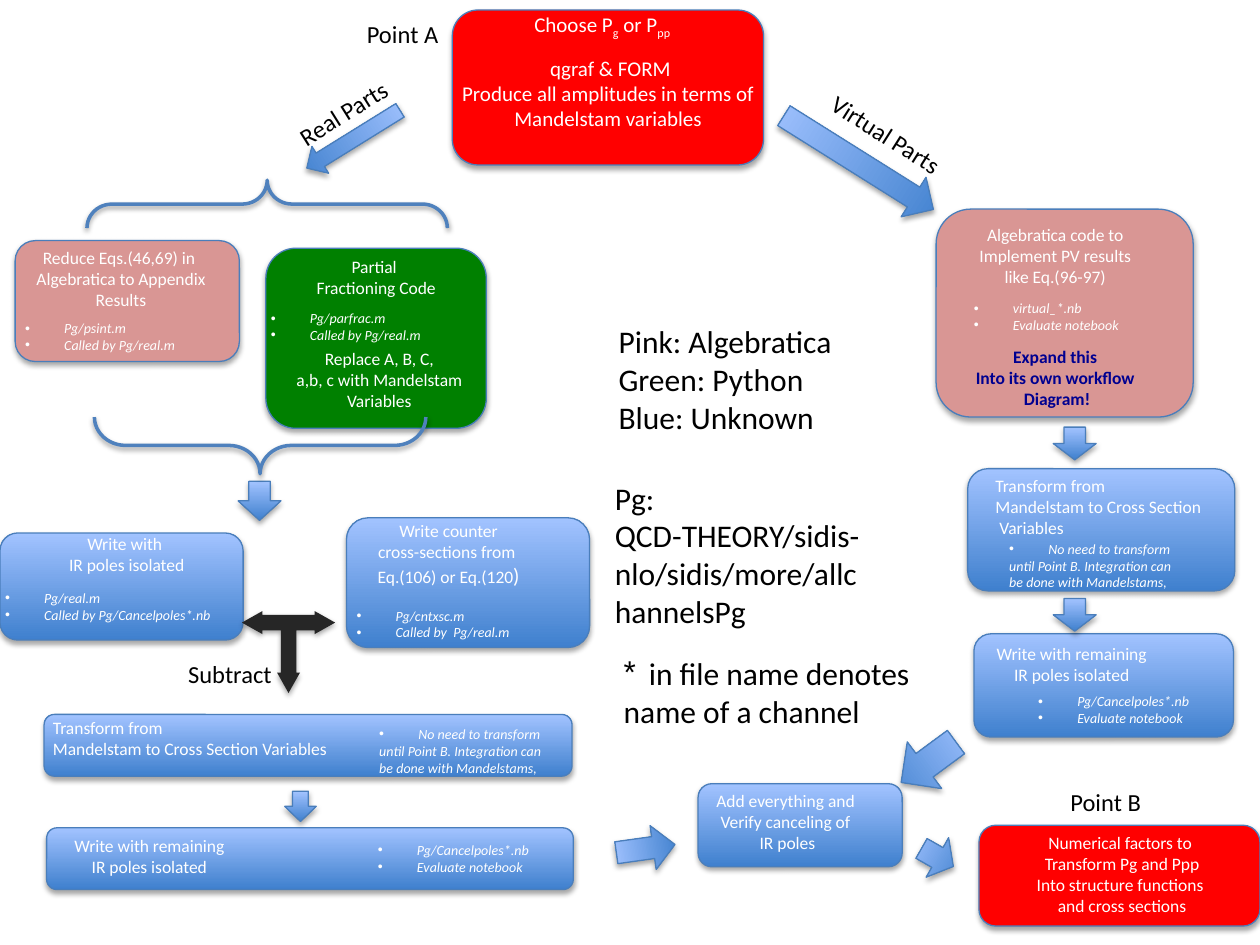
from copy import deepcopy
from dataclasses import dataclass

from lxml import etree
from pptx import Presentation
from pptx.dml.color import RGBColor
from pptx.enum import shapes, text
from pptx.oxml import ns
from pptx.util import Inches, Pt

SHAPE = shapes.MSO_SHAPE
LEFT, CENTER = text.PP_ALIGN.LEFT, text.PP_ALIGN.CENTER


@dataclass(frozen=True)
class Theme:
    font: str = "Calibri"
    white: str = "FFFFFF"
    black: str = "000000"
    navy: str = "000090"
    red: str = "FF0000"
    pink: str = "D99694"
    green: str = "008000"
    charcoal: str = "262626"
    blue: tuple = ("3F80CE", "A2C3FF")
    outline: str = "4A7EBB"
    brace: str = "4F81BD"
    note: int = 8
    step: int = 10
    start: int = 12
    label: int = 14
    legend: int = 18


class Workflow:
    def __init__(self, slide, theme):
        self.slide = slide
        self.theme = theme

    def preset(self, kind, at, fill=None, line=None, width=0.75, rotation=0, adjust=(),
               shadow=(35, 1.8)):
        shape = self.slide.shapes.add_shape(kind, *map(Inches, at))
        shape.rotation = rotation
        for index, value in enumerate(adjust):
            shape.adjustments[index] = value
        if fill is None:
            shape.fill.background()
        elif isinstance(fill, tuple):
            shape.fill.gradient()
            shape.fill.gradient_angle = 90
            for stop, color in zip(shape.fill.gradient_stops, fill):
                stop.color.rgb = RGBColor.from_string(color)
        else:
            shape.fill.solid()
            shape.fill.fore_color.rgb = RGBColor.from_string(fill)
        if line:
            shape.line.color.rgb = RGBColor.from_string(line)
            shape.line.width = Pt(width)
        else:
            shape.line.fill.background()
        self.cast_shadow(shape, *shadow)

    def cast_shadow(self, shape, opacity, distance):
        shape.shadow.inherit = False
        effects = shape.element.spPr.find(ns.qn("a:effectLst"))
        outer = etree.SubElement(effects, ns.qn("a:outerShdw"), blurRad=str(Pt(3)),
                                 dist=str(Pt(distance)), dir="5400000", rotWithShape="0")
        color = etree.SubElement(outer, ns.qn("a:srgbClr"), val=self.theme.black)
        etree.SubElement(color, ns.qn("a:alpha"), val=str(opacity * 1000))

    def card(self, at, fill):
        self.preset(SHAPE.ROUNDED_RECTANGLE, at, fill, self.theme.outline)

    def arrow(self, at, rotation=0):
        self.preset(SHAPE.DOWN_ARROW, at, self.theme.blue, self.theme.outline,
                    rotation=rotation)

    def brace(self, at, rotation, curve):
        self.preset(SHAPE.LEFT_BRACE, at, line=self.theme.brace, width=2, rotation=rotation,
                    adjust=(curve, 0.5), shadow=(38, 1.6))

    def format_run(self, run, size, color, bold=False, italic=False):
        run.font.name = self.theme.font
        run.font.size = Pt(size)
        run.font.bold = bold
        run.font.italic = italic
        run.font.color.rgb = RGBColor.from_string(color)

    def put_text(self, words, at, size=None, color=None, bold=False, italic=False,
                 align=CENTER, wrap=False, rotation=0, bulleted=0, bullet="•", indent=0.31,
                 box=None):
        size, color = size or self.theme.step, color or self.theme.white
        box = box or self.slide.shapes.add_textbox(0, 0, 0, 0)
        box.left, box.top, box.width, box.height = map(Inches, at)
        box.rotation = rotation
        frame = box.text_frame
        frame.word_wrap = wrap
        frame.auto_size = text.MSO_AUTO_SIZE.SHAPE_TO_FIT_TEXT
        frame.vertical_anchor = text.MSO_ANCHOR.TOP
        frame.margin_left = frame.margin_right = Inches(0.05)
        frame.margin_top = frame.margin_bottom = Inches(0.05)
        for index, line in enumerate(words.split("\n")):
            paragraph = frame.add_paragraph() if index else frame.paragraphs[0]
            paragraph.alignment = align
            if index < bulleted:
                self.mark(paragraph, bullet, indent)
            for order, piece in enumerate(line.split("~")):
                for row, part in enumerate(piece.split("\v")):
                    if row:
                        paragraph.add_line_break()
                    if not part:
                        continue
                    run = paragraph.add_run()
                    run.text = part
                    self.format_run(run, size, color, bold, italic)
                    if order % 2:
                        run.font._element.set("baseline", "-25000")
            for line_break in paragraph._p.findall(ns.qn("a:br")):
                line_break.append(deepcopy(run.font._element))
        return box

    def mark(self, paragraph, bullet, indent):
        properties = paragraph._p.get_or_add_pPr()
        properties.set("marL", str(Inches(indent)))
        properties.set("indent", str(-Inches(indent)))
        etree.SubElement(properties, ns.qn("a:buFont"), typeface="Arial")
        etree.SubElement(properties, ns.qn("a:buChar"), char=bullet)

    def heading(self, words, at, **style):
        title = self.slide.shapes.title
        self.slide.shapes.element.append(title.element)
        self.put_text(words, at, box=title, **style)

    def notes(self, words, at, bulleted=2, wrap=False):
        self.put_text(words, at, size=self.theme.note, italic=True, align=LEFT,
                      bulleted=bulleted, wrap=wrap)

    def label(self, words, at, rotation=0, wrap=False):
        self.put_text(words, at, size=self.theme.label, color=self.theme.black,
                      rotation=rotation, wrap=wrap)

    def legend(self, words, at, **style):
        self.put_text(words, at, size=self.theme.legend, color=self.theme.black, align=LEFT,
                      **style)


def main():
    deck = Presentation()
    deck.slide_width, deck.slide_height = Inches(10), Inches(7.5)
    theme = Theme()
    flow = Workflow(deck.slides.add_slide(deck.slide_layouts[5]), theme)

    for at, fill in (
        ((3.59, 0.08, 2.47, 1.23), theme.red),
        ((7.68, 3.72, 2.12, 0.97), theme.blue),
        ((7.43, 1.66, 2.04, 1.65), theme.pink),
        ((0.37, 6.57, 4.18, 0.49), theme.blue),
        ((0.35, 5.67, 4.19, 0.49), theme.blue),
        ((2.75, 4.11, 1.93, 1.03), theme.blue),
        ((0, 4.23, 1.93, 0.85), theme.blue),
        ((2.11, 1.97, 1.75, 1.43), theme.green),
        ((0.12, 1.91, 1.78, 0.96), theme.pink),
        ((7.73, 5.03, 2.06, 0.82), theme.blue),
        ((5.54, 6.22, 1.62, 0.66), theme.blue),
        ((7.77, 6.55, 2.23, 0.8), theme.red),
    ):
        flow.card(at, fill)

    for at, rotation in (
        ((2.68, 0.67, 0.25, 0.87), 58.2),
        ((1.89, 3.82, 0.34, 0.31), 0),
        ((2.26, 6.28, 0.25, 0.24), 0),
        ((6.63, 0.59, 0.37, 1.4), 302.1),
        ((8.36, 3.39, 0.34, 0.26), 0),
        ((8.36, 4.75, 0.34, 0.26), 0),
        ((7.26, 6.66, 0.36, 0.29), 299.6),
        ((4.95, 6.5, 0.35, 0.47), 262),
        ((7.14, 5.78, 0.46, 0.54), 53.6),
    ):
        flow.arrow(at, rotation)
    flow.preset(SHAPE.LEFT_RIGHT_UP_ARROW, (1.92, 4.85, 0.74, 0.65), theme.charcoal,
                rotation=180, adjust=(0.19, 0.14, 0.25))
    flow.brace((1.93, 0.19, 0.38, 2.86), 90, 0.52)
    flow.brace((1.84, 2.22, 0.45, 2.63), 270, 0.55)

    flow.heading("Choose P~g~ or P~pp~", (4.19, 0.04, 1.31, 0.33), size=theme.start, align=LEFT)
    flow.put_text("qgraf & FORM\vProduce all amplitudes in terms of \nMandelstam variables ",
                  (3.45, 0.39, 2.79, 0.68), size=theme.start)

    for words, at in (
        ("Partial \vFractioning Code", (2.4, 1.98, 1.17, 0.41)),
        ("Reduce Eqs.(46,69) in \vAlgebratica to Appendix\vResults", (0.11, 1.91, 1.7, 0.56)),
        ("Algebratica code to \nImplement PV results \nlike Eq.(96-97) ",
         (7.63, 1.73, 1.52, 0.56)),
        ("Write with \vIR poles isolated", (0.44, 4.18, 1.13, 0.41)),
        ("Replace A, B, C,\va,b, c with Mandelstam\vVariables", (2.22, 2.71, 1.58, 0.56)),
        ("Add everything and \nVerify canceling of \vIR poles", (5.55, 6.22, 1.4, 0.56)),
        ("Numerical factors to \nTransform Pg and Ppp\nInto structure functions \v"
         "and cross sections", (8.09, 6.55, 1.63, 0.71)),
    ):
        flow.put_text(words, at)
    counter = flow.put_text("Write counter\vcross-sections from \vEq.(106) or Eq.(120",
                            (2.87, 4.08, 1.38, 0.6))
    closing = counter.text_frame.paragraphs[0].add_run()
    closing.text = ")"
    flow.format_run(closing, theme.start, theme.white)
    flow.put_text("Expand this \nInto its own workflow \vDiagram!", (7.61, 2.7, 1.56, 0.56),
                  color=theme.navy, bold=True)

    transform = "Transform from \vMandelstam to Cross Section"
    flow.put_text(transform + " Variables", (0.37, 5.64, 2.53, 0.41), align=LEFT, wrap=True)
    flow.put_text(transform + "\n Variables", (7.85, 3.72, 1.95, 0.56), align=LEFT, wrap=True)
    for left, top in ((2.96, 5.71), (7.96, 4.24)):
        flow.notes("No need to transform\nuntil Point B. Integration can\n"
                   "be done with Mandelstams,", (left, top, 1.65, 0.52), bulleted=1)
    for left, top in ((0.45, 6.58), (7.77, 5.05)):
        flow.put_text("Write with remaining\nIR poles isolated", (left, top, 1.47, 0.41))
    for left, top in ((2.95, 6.63), (8.19, 5.45)):
        flow.notes("Pg/Cancelpoles*.nb\nEvaluate notebook", (left, top, 1.43, 0.38))
    flow.notes("Pg/psint.m\nCalled by Pg/real.m", (0.15, 2.49, 1.44, 0.38))
    flow.notes("Pg/parfrac.m\nCalled by Pg/real.m", (2.1, 2.41, 1.44, 0.38))
    flow.notes("Pg/real.m\nCalled by Pg/Cancelpoles*.nb", (-0.01, 4.63, 1.94, 0.38), wrap=True)
    flow.notes("Pg/cntxsc.m\nCalled by  Pg/real.m", (2.78, 4.77, 1.47, 0.38))
    flow.notes("virtual_*.nb\nEvaluate notebook", (7.68, 2.33, 1.36, 0.38))

    flow.label("Real Parts", (2.23, 0.73, 0.98, 0.32), rotation=327.8)
    flow.label("Virtual Parts", (6.44, 0.9, 1.19, 0.32), rotation=32.3)
    flow.label("Subtract", (1.4, 5.18, 0.85, 0.32))
    flow.label("Point A", (2.62, 0.1, 1.15, 0.32), wrap=True)
    flow.label("Point B", (8.2, 6.2, 1.15, 0.32), wrap=True)

    flow.legend("Pink: Algebratica\nGreen: Python\vBlue: Unknown", (4.86, 2.51, 2.26, 0.97))
    flow.legend("Pg: QCD-THEORY/sidis-nlo/sidis/more/allchannelsPg", (4.83, 3.75, 2.13, 1.27),
                wrap=True)
    flow.legend("in file name denotes\nname of a channel", (4.9, 5.14, 2.69, 0.68),
                bulleted=1, bullet="*", indent=0.2)
    deck.save("out.pptx")


if __name__ == "__main__":
    main()
